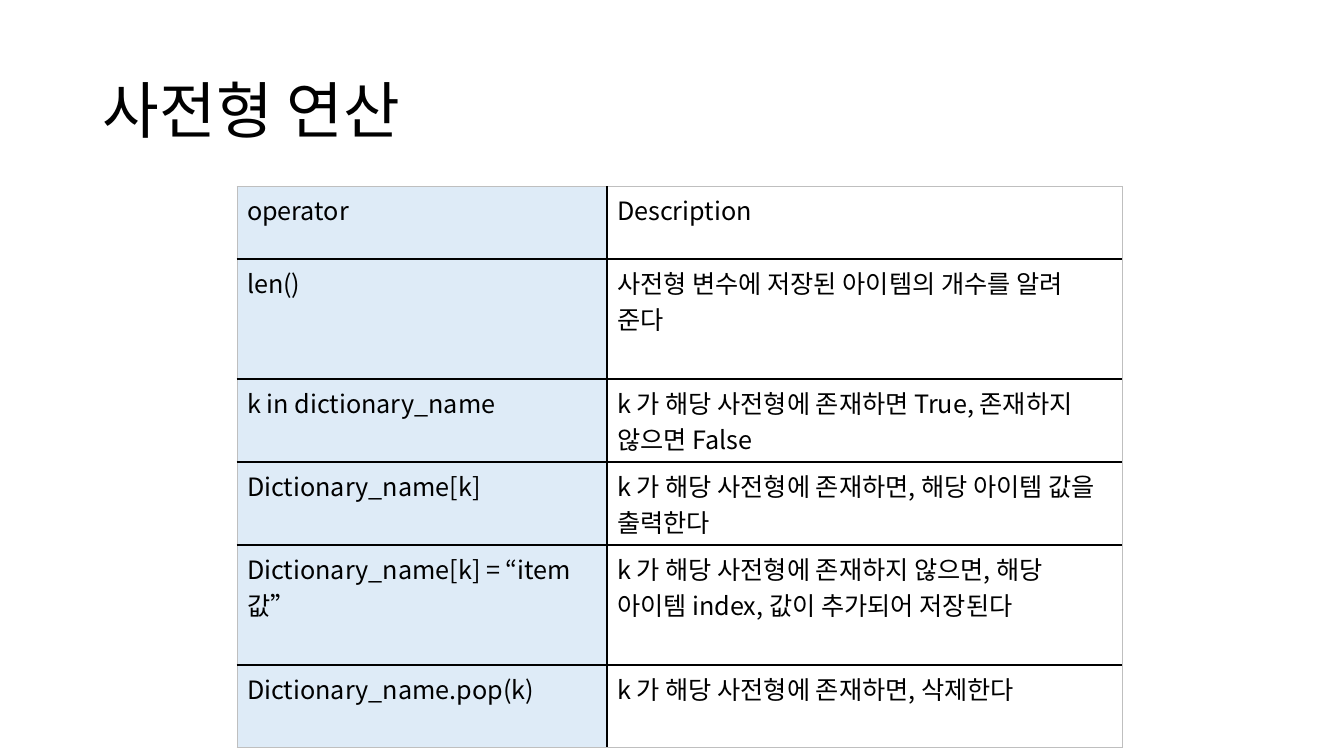
from typing import NamedTuple

from lxml.etree import SubElement
from pptx import Presentation
from pptx.dml.color import RGBColor
from pptx.enum.text import MSO_ANCHOR as Anchor, MSO_AUTO_SIZE as AutoSize, PP_ALIGN as Align
from pptx.oxml.ns import qn
from pptx.util import Inches, Pt

FONT = "Noto Sans CJK KR"
BLACK = RGBColor(0x00, 0x00, 0x00)
PALE_BLUE = RGBColor(0xDE, 0xEB, 0xF7)
GRAY = RGBColor(0xBF, 0xBF, 0xBF)


class Operation(NamedTuple):
    operator: str
    description: str
    height: float


class Border(NamedTuple):
    color: RGBColor
    width: float


INNER = Border(BLACK, 1)
OUTER = Border(GRAY, 0.5)
COLUMN_WIDTHS = (3.67, 5.11)
OPERATIONS = (
    Operation("operator", "Description", 0.72),
    Operation("len()", "사전형 변수에 저장된 아이템의 개수를 알려 준다", 1.19),
    Operation("k in dictionary_name", "k 가 해당 사전형에 존재하면 True, 존재하지 않으면 False", 0.82),
    Operation("Dictionary_name[k]", "k 가 해당 사전형에 존재하면, 해당 아이템 값을 출력한다", 0.82),
    Operation("Dictionary_name[k] = “item 값”",
              "k 가 해당 사전형에 존재하지 않으면, 해당 아이템 index, 값이 추가되어 저장된다", 1.19),
    Operation("Dictionary_name.pop(k)", "k 가 해당 사전형에 존재하면, 삭제한다", 0.82),
)


def write_text(frame, text: str, *, size: float, line_spacing: float = 1.0,
               anchor: Anchor = Anchor.TOP) -> None:
    frame.word_wrap = True
    frame.vertical_anchor = anchor
    paragraph = frame.paragraphs[0]
    paragraph.alignment = Align.LEFT
    paragraph.line_spacing = line_spacing
    run = paragraph.add_run()
    run.text = text
    run.font.name = FONT
    run.font.size = Pt(size)
    run.font.color.rgb = BLACK
    # East Asian glyphs take their own typeface
    SubElement(run.font._element, qn("a:ea"), typeface=FONT)


def set_borders(cell, borders: dict[str, Border]) -> None:
    properties = cell._tc.get_or_add_tcPr()
    for index, (side, border) in enumerate(borders.items()):
        line = SubElement(properties, qn(f"a:{side}"), w=str(Pt(border.width)))
        fill = SubElement(line, qn("a:solidFill"))
        SubElement(fill, qn("a:srgbClr"), val=str(border.color))
        # Borders come before the cell fill
        properties.insert(index, line)


def add_operations_table(slide, left: float, top: float) -> None:
    row_count, column_count = len(OPERATIONS), len(COLUMN_WIDTHS)
    height = sum(operation.height for operation in OPERATIONS)
    table = slide.shapes.add_table(row_count, column_count, Inches(left), Inches(top),
                                   Inches(sum(COLUMN_WIDTHS)), Inches(height)).table
    table.first_row = False
    table.horz_banding = False
    for column, width in zip(table.columns, COLUMN_WIDTHS):
        column.width = Inches(width)
    for row_index, operation in enumerate(OPERATIONS):
        table.rows[row_index].height = Inches(operation.height)
        for column_index, text in enumerate((operation.operator, operation.description)):
            cell = table.cell(row_index, column_index)
            write_text(cell.text_frame, text, size=18)
            if column_index == 0:
                cell.fill.solid()
                cell.fill.fore_color.rgb = PALE_BLUE
            else:
                cell.fill.background()
            set_borders(cell, {
                "lnL": OUTER if column_index == 0 else INNER,
                "lnR": OUTER if column_index == column_count - 1 else INNER,
                "lnT": OUTER if row_index == 0 else INNER,
                "lnB": OUTER if row_index == row_count - 1 else INNER,
            })


presentation = Presentation()
presentation.slide_width = Inches(13.33)
presentation.slide_height = Inches(7.5)
slide = presentation.slides.add_slide(presentation.slide_layouts.get_by_name("Title Only"))

# Title
title = slide.shapes.title
title.left, title.top = Inches(0.92), Inches(0.4)
title.width, title.height = Inches(11.5), Inches(1.45)
title.text_frame.auto_size = AutoSize.NONE
write_text(title.text_frame, "사전형 연산", size=44, line_spacing=0.9, anchor=Anchor.MIDDLE)

# Dictionary operations
add_operations_table(slide, 2.35, 1.85)

presentation.save("out.pptx")
